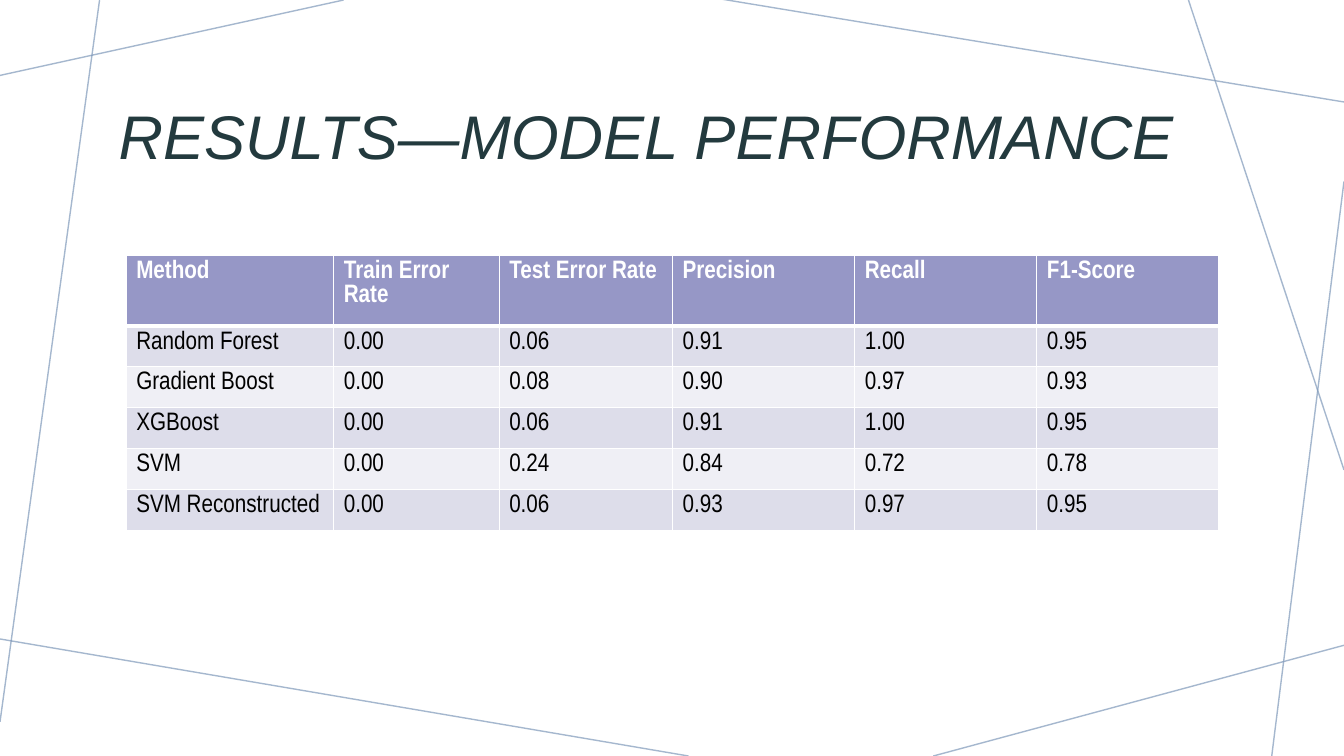
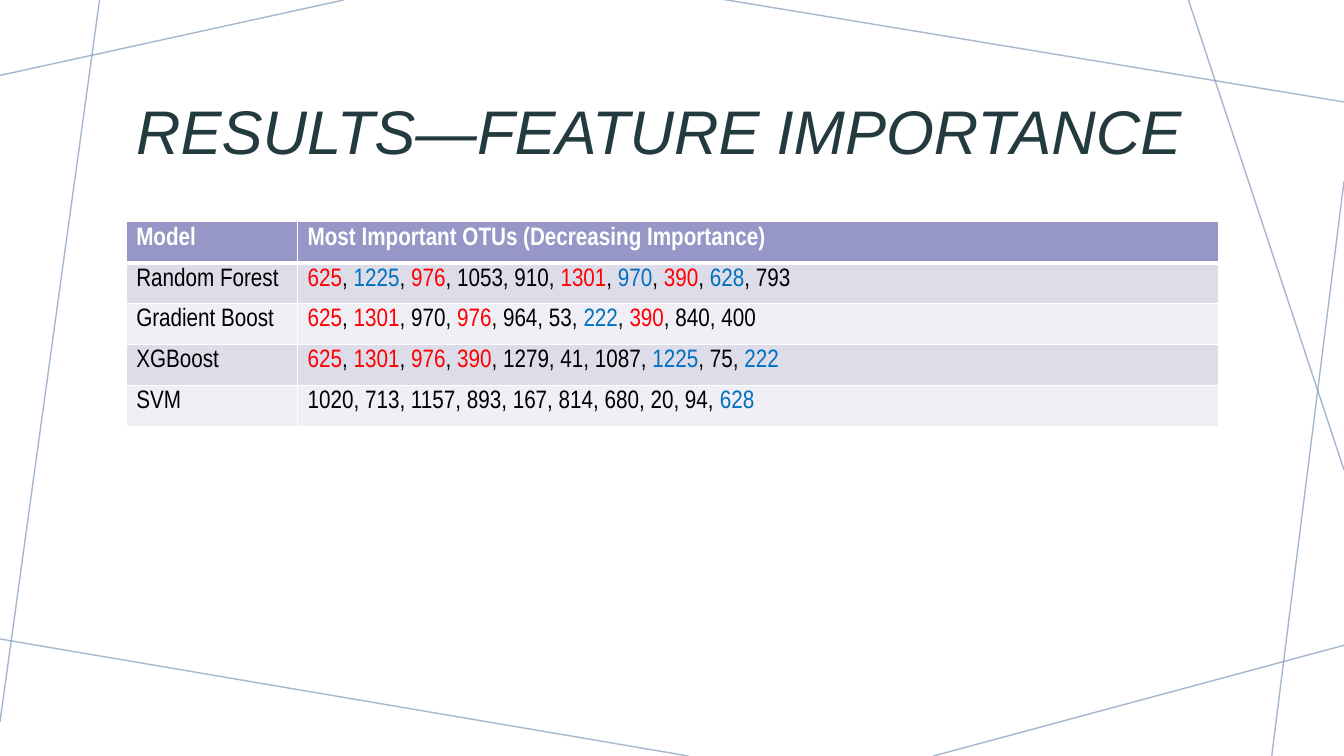
from dataclasses import dataclass
from typing import NamedTuple

from lxml.etree import SubElement
from pptx import Presentation
from pptx.dml.color import RGBColor
from pptx.enum.shapes import MSO_CONNECTOR
from pptx.enum.text import MSO_ANCHOR
from pptx.oxml.ns import qn
from pptx.util import Cm, Pt


@dataclass(frozen=True)
class Theme:
    title_font: str = "Arial"
    table_font: str = "Arial Narrow"
    title_size: int = 44
    table_size: int = 18
    title: str = "233A3E"
    line: str = "7F99BA"
    line_alpha: int = 70
    header: str = "9697C6"
    bands: tuple = ("DDDDEA", "EFEFF5")
    white: str = "FFFFFF"
    text: str = "000000"
    red: str = "FF0000"
    blue: str = "0070C0"
    border: int = 1
    header_rule: int = 3


class Box(NamedTuple):
    x: float
    y: float
    w: float
    h: float


THEME = Theme()
MARKS = {"*": THEME.red, "~": THEME.blue}
PAGE = Box(0, 0, 33.87, 19.05)
ROW_H = 1.03
BACKDROP = [
    (8.66, 0, 0, 1.9),
    (2.51, 0, 0, 18.19),
    (17.35, 19.05, -0.13, 16.08),
    (33.87, 16.26, 23.52, 19.05),
    (33.87, 4.57, 32.05, 19.05),
    (33.87, 11.84, 29.95, 0),
    (33.87, 2.57, 18.14, -0.03),
]

PERFORMANCE = [
    ("Method", "Train Error Rate", "Test Error Rate", "Precision", "Recall", "F1-Score"),
    ("Random Forest", "0.00", "0.06", "0.91", "1.00", "0.95"),
    ("Gradient Boost", "0.00", "0.08", "0.90", "0.97", "0.93"),
    ("XGBoost", "0.00", "0.06", "0.91", "1.00", "0.95"),
    ("SVM", "0.00", "0.24", "0.84", "0.72", "0.78"),
    ("SVM Reconstructed", "0.00", "0.06", "0.93", "0.97", "0.95"),
]
IMPORTANCE = [
    ("Model", "Most Important OTUs (Decreasing Importance)"),
    ("Random Forest", "*625, ~1225, *976, 1053, 910, *1301, ~970, *390, ~628, 793"),
    ("Gradient Boost", "*625, *1301, 970, *976, 964, 53, ~222, *390, 840, 400"),
    ("XGBoost", "*625, *1301, *976, *390, 1279, 41, 1087, ~1225, 75, ~222"),
    ("SVM", "1020, 713, 1157, 893, 167, 814, 680, 20, 94, ~628"),
]


def style_run(r, font, size, color, bold=False, italic=False):
    r.font.name = font
    r.font.size = Pt(size)
    r.font.bold = bold
    r.font.italic = italic
    r.font.color.rgb = RGBColor.from_string(color)


def add_backdrop(slide, box):
    for x1, y1, x2, y2 in BACKDROP:
        line = slide.shapes.add_connector(
            MSO_CONNECTOR.STRAIGHT,
            Cm(box.x + x1), Cm(box.y + y1), Cm(box.x + x2), Cm(box.y + y2),
        )
        line.line.width = Pt(1)
        line.line.color.rgb = RGBColor.from_string(THEME.line)
        sp_pr = line._element.spPr
        color = sp_pr.find(".//" + qn("a:srgbClr"))
        SubElement(color, qn("a:alpha"), val=str(THEME.line_alpha * 1000))
        SubElement(sp_pr, qn("a:effectLst"))


def add_title(slide, box, text):
    tf = slide.shapes.add_textbox(*map(Cm, box)).text_frame
    tf.word_wrap = True
    tf.vertical_anchor = MSO_ANCHOR.MIDDLE
    p = tf.paragraphs[0]
    p.text = text
    p.line_spacing = 0.9
    style_run(p.runs[0], THEME.title_font, THEME.title_size, THEME.title, italic=True)


def set_borders(cell, top, bottom):
    tc_pr = cell._tc.get_or_add_tcPr()
    widths = {"L": THEME.border, "R": THEME.border, "T": top, "B": bottom}
    for side, width in widths.items():
        ln = SubElement(tc_pr, qn(f"a:ln{side}"), w=str(Pt(width)))
        fill = SubElement(ln, qn("a:solidFill"))
        SubElement(fill, qn("a:srgbClr"), val=THEME.white)


def write_cell(cell, text, color, bold):
    p = cell.text_frame.paragraphs[0]
    for i, item in enumerate(text.split(", ")):
        pieces = [(", ", color)] if i else []
        pieces.append((item.lstrip("*~"), MARKS.get(item[0], color)))
        for piece, piece_color in pieces:
            r = p.add_run()
            r.text = piece
            style_run(r, THEME.table_font, THEME.table_size, piece_color, bold)


def add_results_table(slide, box, rows, widths):
    frame = slide.shapes.add_table(len(rows), len(widths), *map(Cm, box))
    table = frame.table
    for column, width in zip(table.columns, widths):
        column.width = Cm(width)
    for i, values in enumerate(rows):
        header = i == 0
        table.rows[i].height = Cm(box.h / len(rows))
        fill = THEME.header if header else THEME.bands[(i - 1) % 2]
        color = THEME.white if header else THEME.text
        top = THEME.header_rule if i == 1 else THEME.border
        bottom = THEME.header_rule if header else THEME.border
        for j, value in enumerate(values):
            cell = table.cell(i, j)
            set_borders(cell, top, bottom)
            cell.fill.solid()
            cell.fill.fore_color.rgb = RGBColor.from_string(fill)
            write_cell(cell, value, color, header)


def add_results_slide(prs, title, title_box, rows, table_top, widths):
    slide = prs.slides.add_slide(prs.slide_layouts[6])
    add_backdrop(slide, PAGE)
    add_title(slide, title_box, title)
    table_box = Box(3.18, table_top, sum(widths), ROW_H * len(rows))
    add_results_table(slide, table_box, rows, widths)


def main():
    prs = Presentation()
    prs.slide_width, prs.slide_height = Cm(PAGE.w), Cm(PAGE.h)
    add_results_slide(
        prs, "RESULTS—MODEL PERFORMANCE", Box(2.74, 1.6, 28.37, 3.84),
        PERFORMANCE, 6.43, [5.23, 4.17, 4.37, 4.59, 4.59, 4.59],
    )
    add_results_slide(
        prs, "RESULTS—FEATURE IMPORTANCE", Box(3.18, 1.47, 27.51, 3.84),
        IMPORTANCE, 5.59, [4.32, 23.2],
    )
    prs.save("out.pptx")


if __name__ == "__main__":
    main()
